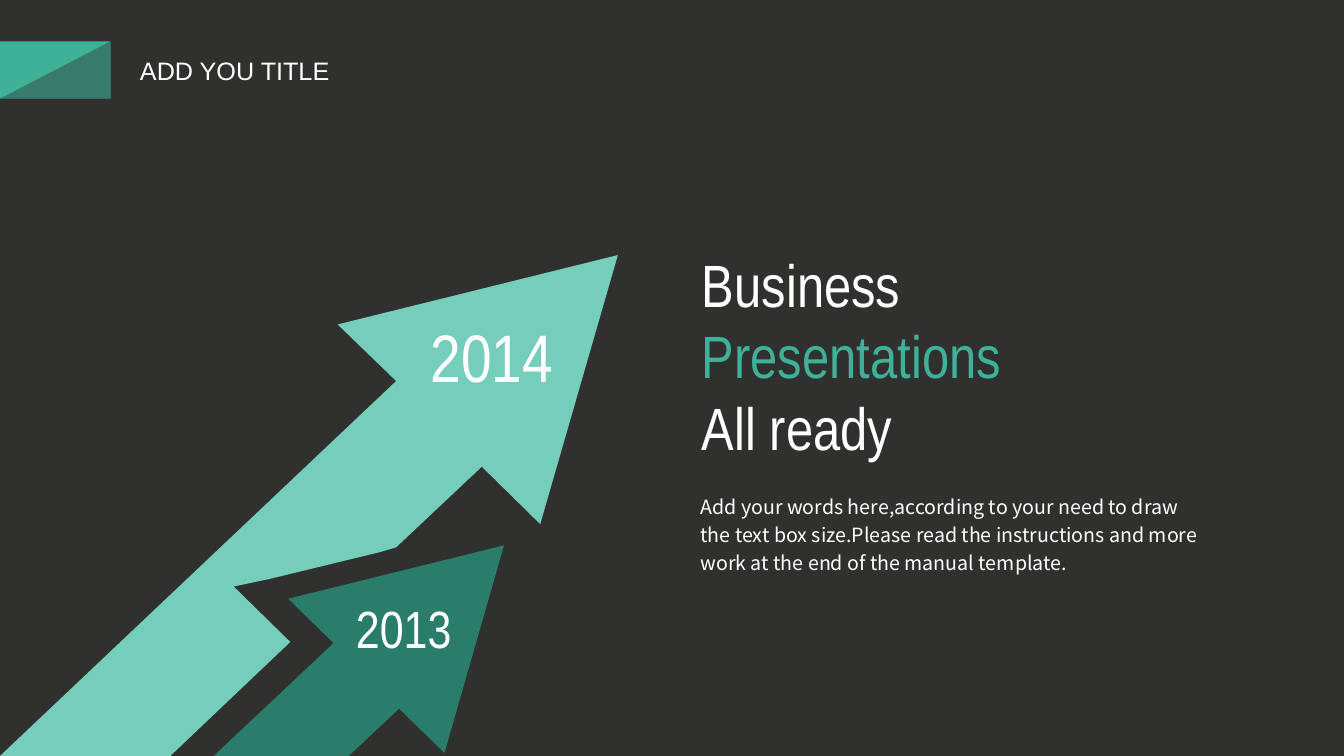
from dataclasses import dataclass

from lxml import etree
from pptx import Presentation
from pptx.dml.color import RGBColor
from pptx.enum import shapes, text
from pptx.oxml import ns
from pptx.util import Pt


@dataclass(frozen=True)
class Theme:
    back: str = "30302F"
    white: str = "FFFFFF"
    green: str = "3EB198"
    mint: str = "74CEBB"
    deep: str = "2B7D6B"
    sans: str = "Arial"
    thin: str = "Arial Narrow"
    body: str = "Noto Sans CJK SC"
    title: float = 18
    head: float = 42.6
    large: float = 48
    mid: float = 37.4
    small: float = 14


THEME = Theme()
MINT_ARROW = [
    (441.4, 182.2), (241.2, 231.8), (283, 272.2), (0, 540), (121.7, 540),
    (207.4, 458.6), (167, 419), (193.7, 413.3), (270.7, 394.6), (283, 391),
    (344.2, 333.4), (385.9, 374.4),
]
DEEP_ARROW = [
    (360, 389.5), (205.9, 427.7), (238.3, 459.4), (152.6, 540),
    (249.1, 540), (285.1, 506.2), (317.5, 537.8),
]


def paint(shape, color, alpha=None):
    shape.shadow.inherit = False
    shape.fill.solid()
    shape.fill.fore_color.rgb = RGBColor.from_string(color)
    shape.line.fill.background()
    if alpha is not None:
        tone = shape.fill._xPr.find(".//" + ns.qn("a:srgbClr"))
        etree.SubElement(tone, ns.qn("a:alpha"), val=str(alpha * 1000))


def add_flag(slide):
    kinds = shapes.MSO_SHAPE
    area = [Pt(n) for n in (0, 29.5, 79, 41)]
    base = slide.shapes.add_shape(kinds.RECTANGLE, *area)
    paint(base, THEME.green)
    shade = slide.shapes.add_shape(kinds.RIGHT_TRIANGLE, *area)
    shade._element.spPr.find(ns.qn("a:xfrm")).set("flipH", "1")
    paint(shade, THEME.back, 42)


def add_arrow(slide, points, color):
    path = [(Pt(x), Pt(y)) for x, y in points]
    form = slide.shapes.build_freeform(*path[0], scale=1.0)
    form.add_line_segments(path[1:], close=True)
    paint(form.convert_to_shape(), color)


def add_text(slide, area, lines, font, size, align="LEFT", anchor="TOP",
             pad=(7.2, 3.6), wrap=True, space=None):
    box = slide.shapes.add_textbox(*[Pt(n) for n in area])
    frame = box.text_frame
    frame.word_wrap = wrap
    frame.vertical_anchor = text.MSO_ANCHOR[anchor]
    frame.margin_left = frame.margin_right = Pt(pad[0])
    frame.margin_top = frame.margin_bottom = Pt(pad[1])
    frame.text = "\n".join(line for line, color in lines)
    for para, (line, color) in zip(frame.paragraphs, lines):
        para.alignment = text.PP_ALIGN[align]
        para.line_spacing = space
        for run in para.runs:
            run.font.name = font
            run.font.size = Pt(size)
            run.font.color.rgb = RGBColor.from_string(color)


def main():
    deck = Presentation()
    deck.slide_width, deck.slide_height = Pt(960), Pt(540)
    slide = deck.slides.add_slide(deck.slide_layouts[6])
    slide.background.fill.solid()
    slide.background.fill.fore_color.rgb = RGBColor.from_string(THEME.back)

    add_flag(slide)
    add_text(slide, (92.9, 36, 151, 29), [("ADD YOU TITLE", THEME.white)],
             THEME.sans, THEME.title, wrap=False)
    add_arrow(slide, MINT_ARROW, THEME.mint)
    add_arrow(slide, DEEP_ARROW, THEME.deep)
    heads = [("Business", THEME.white), ("Presentations", THEME.green),
             ("All ready", THEME.white)]
    add_text(slide, (492, 189.5, 322.5, 128), heads, THEME.thin, THEME.head,
             anchor="MIDDLE", pad=(9.4, 5))
    add_text(slide, (270, 221.8, 162.7, 65.5), [("2014", THEME.white)],
             THEME.thin, THEME.large, align="CENTER")
    add_text(slide, (222.5, 422, 131.8, 52.6), [("2013", THEME.white)],
             THEME.thin, THEME.mid, align="CENTER")
    words = ("Add your words here,according to your need to draw the text box "
             "size.Please read the instructions and more work at the end of "
             "the manual template.")
    add_text(slide, (500.4, 350, 363.6, 61), [(words, THEME.white)],
             THEME.body, THEME.small, pad=(0, 0), space=1.2)
    deck.save("out.pptx")


if __name__ == "__main__":
    main()
